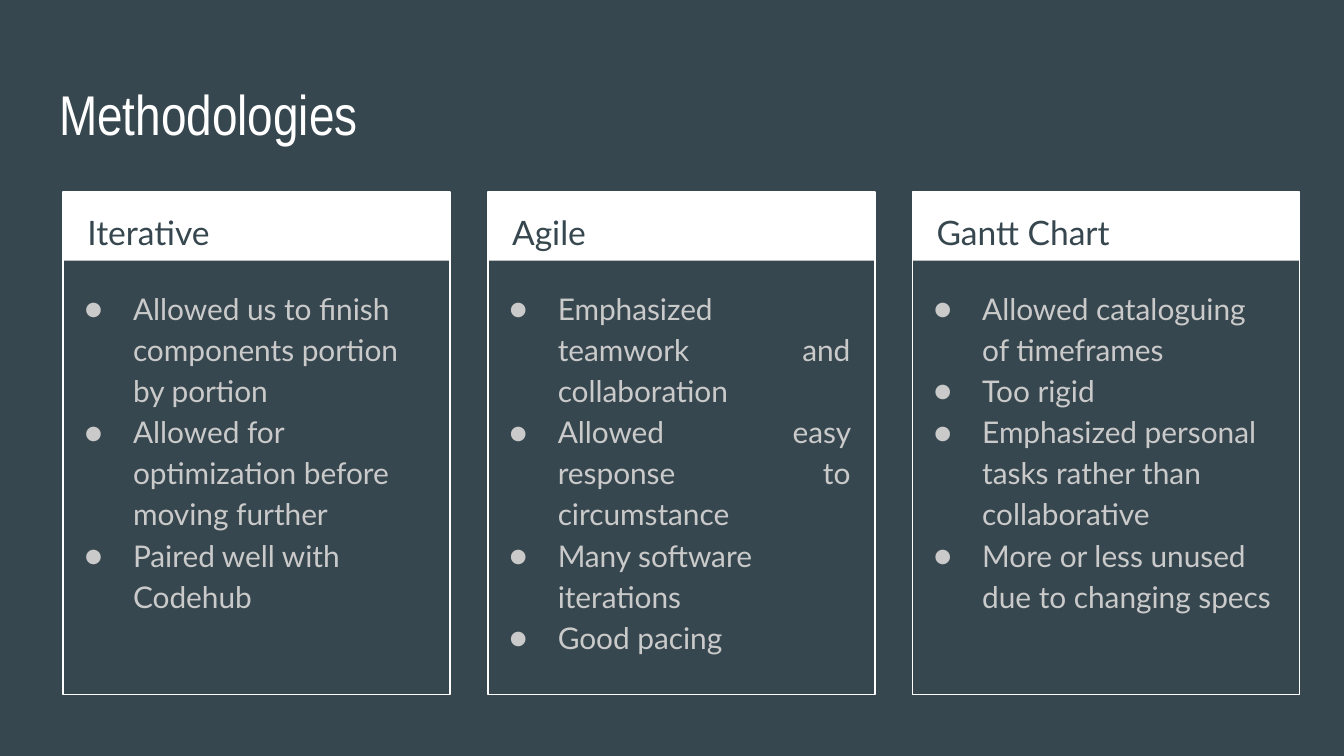
from lxml import etree
from pptx import Presentation
from pptx.dml.color import RGBColor
from pptx.enum import shapes, text
from pptx.oxml import ns
from pptx.util import Inches, Pt

SLATE, WHITE, GREY = "37474F", "FFFFFF", "CACACA"
LEFT = text.PP_ALIGN.LEFT
JUSTIFY = text.PP_ALIGN.JUSTIFY
COLUMN_LEFT, COLUMN_STEP, CARD_WIDTH = 0.47, 3.16, 2.88

METHODS = [
    ("Iterative", [
        ("Allowed us to finish components portion by portion", LEFT),
        ("Allowed for optimization before moving further", LEFT),
        ("Paired well with Codehub", LEFT),
    ]),
    ("Agile", [
        ("Emphasized teamwork and collaboration", JUSTIFY),
        ("Allowed easy response to circumstance", JUSTIFY),
        ("Many software iterations", LEFT),
        ("Good pacing", LEFT),
    ]),
    ("Gantt Chart", [
        ("Allowed cataloguing of timeframes", LEFT),
        ("Too rigid", LEFT),
        ("Emphasized personal tasks rather than collaborative", LEFT),
        ("More or less unused due to changing specs", LEFT),
    ]),
]


def color(value):
    return RGBColor.from_string(value)


def apply(target, values):
    for name, value in values.items():
        setattr(target, name, value)


def add_rectangle(page, left, top, width, height, fill=None, line=None):
    box = page.shapes.add_shape(
        shapes.MSO_SHAPE.RECTANGLE, Inches(left), Inches(top), Inches(width), Inches(height))
    box.shadow.inherit = False
    if fill:
        box.fill.solid()
        box.fill.fore_color.rgb = color(fill)
    else:
        box.fill.background()
    if line:
        box.line.color.rgb = color(line)
        box.line.width = Pt(0.75)
    else:
        box.line.fill.background()


def place_text(page, box, left, top, width, height):
    page.shapes.element.append(box.element)
    apply(box, {"left": Inches(left), "top": Inches(top),
                "width": Inches(width), "height": Inches(height)})
    margins = dict.fromkeys(
        ("margin_left", "margin_top", "margin_right", "margin_bottom"), Inches(0.1))
    apply(box.text_frame, {**margins, "word_wrap": True,
                           "auto_size": text.MSO_AUTO_SIZE.NONE,
                           "vertical_anchor": text.MSO_ANCHOR.TOP})
    return box.text_frame


def write(para, words, size, font, fill, alignment=LEFT, spacing=1.15):
    apply(para, {"alignment": alignment, "line_spacing": spacing,
                 "space_before": Pt(0), "space_after": Pt(0)})
    span = para.add_run()
    span.text = words
    apply(span.font, {"size": Pt(size), "name": font, "bold": False})
    span.font.color.rgb = color(fill)


def add_bullet(para):
    properties = para._p.get_or_add_pPr()
    properties.set("marL", str(Inches(0.5)))
    properties.set("indent", str(Inches(-0.36)))
    bullet_color = etree.SubElement(properties, ns.qn("a:buClr"))
    etree.SubElement(bullet_color, ns.qn("a:srgbClr"), val=GREY)
    etree.SubElement(properties, ns.qn("a:buFont"), typeface="Lato")
    etree.SubElement(properties, ns.qn("a:buChar"), char="●")


def add_method(page, left, heading_box, list_box, heading, points):
    add_rectangle(page, left, 1.43, CARD_WIDTH, 0.51, fill=WHITE)
    add_rectangle(page, left, 1.43, CARD_WIDTH, 3.74, line=WHITE)
    frame = place_text(page, heading_box, left + 0.08, 1.43, 2.73, 0.5)
    write(frame.paragraphs[0], heading, 18, "Lato", SLATE)
    frame = place_text(page, list_box, left - 0.08, 2.02, CARD_WIDTH, 3.06)
    for number, (words, alignment) in enumerate(points):
        para = frame.add_paragraph() if number else frame.paragraphs[0]
        add_bullet(para)
        write(para, words, 16, "Lato", GREY, alignment)


def main():
    deck = Presentation()
    apply(deck, {"slide_width": Inches(10), "slide_height": Inches(10) * 9 // 16})
    page = deck.slides.add_slide(deck.slide_layouts.get_by_name("Comparison"))
    page.background.fill.solid()
    page.background.fill.fore_color.rgb = color(SLATE)

    title, *boxes = list(page.placeholders)
    boxes += [page.shapes.add_textbox(0, 0, 0, 0) for _ in range(2)]
    frame = place_text(page, title, 0.34, 0.49, 9.32, 0.63)
    write(frame.paragraphs[0], "Methodologies", 30, "Arial Narrow", WHITE, spacing=1)

    for column, (heading, points) in enumerate(METHODS):
        left = COLUMN_LEFT + column * COLUMN_STEP
        heading_box, list_box = boxes[2 * column:2 * column + 2]
        add_method(page, left, heading_box, list_box, heading, points)
    deck.save("out.pptx")


if __name__ == "__main__":
    main()
